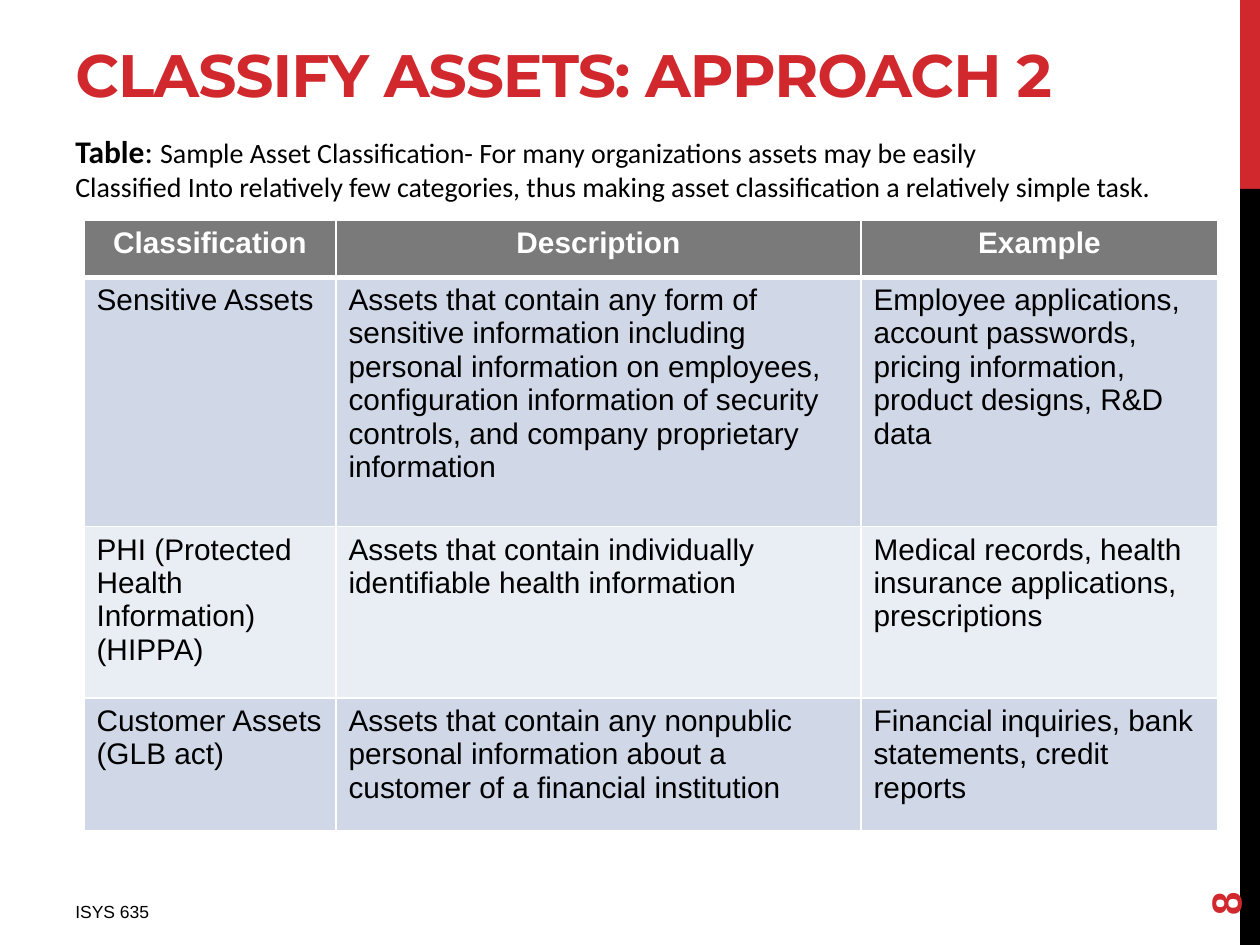
from lxml.etree import SubElement
from pptx import Presentation
from pptx.dml.color import RGBColor
from pptx.enum.shapes import MSO_SHAPE
from pptx.enum.text import MSO_ANCHOR, PP_ALIGN
from pptx.oxml.ns import qn
from pptx.util import Inches, Pt

COLOURS = {"red": "D1282E", "black": "000000", "white": "FFFFFF",
           "header": "7A7A7A", "odd": "D0D8E8", "even": "E9EDF4"}
UNIT = 1 / 12  # grid step in inches: 120 columns by 90 rows

HEADINGS = ["Classification", "Description", "Example"]
ASSETS = [
    ["Sensitive Assets",
     "Assets that contain any form of sensitive information including personal "
     "information on employees, configuration information of security controls, "
     "and company proprietary information",
     "Employee applications, account passwords, pricing information, "
     "product designs, R&D data"],
    ["PHI (Protected Health Information)\n(HIPPA)",
     "Assets that contain individually identifiable health information",
     "Medical records, health insurance applications, prescriptions"],
    ["Customer Assets (GLB act)",
     "Assets that contain any nonpublic personal information about a customer "
     "of a financial institution",
     "Financial inquiries, bank statements, credit reports"],
]


def colour(name):
    return RGBColor.from_string(COLOURS[name])


def grid(*steps):
    return [Inches(step * UNIT) for step in steps]


class SlideStyle:
    def __init__(self, page):
        self.page = page

    def format(self, span, size, shade="black", bold=False, font="Arial"):
        span.font.name, span.font.size, span.font.bold = font, Pt(size), bold
        span.font.color.rgb = colour(shade)

    def bar(self, place, shade):
        bar = self.page.shapes.add_shape(MSO_SHAPE.RECTANGLE, *grid(*place))
        bar.shadow.inherit = False
        bar.fill.solid()
        bar.fill.fore_color.rgb = colour(shade)
        bar.line.fill.background()

    def text(self, place, paragraphs, anchor=MSO_ANCHOR.TOP, turn=0):
        """Each paragraph is a list of (words, style) pairs."""
        box = self.page.shapes.add_textbox(*grid(*place))
        box.rotation = turn
        frame = box.text_frame
        frame.word_wrap, frame.vertical_anchor = True, anchor
        for index, pieces in enumerate(paragraphs):
            para = frame.add_paragraph() if index else frame.paragraphs[0]
            for words, style in pieces:
                span = para.add_run()
                span.text = words
                self.format(span, **style)
        return box

    def borders(self, cell, top, bottom):
        properties = cell._tc.get_or_add_tcPr()
        widths = {"lnL": 1, "lnR": 1, "lnT": top, "lnB": bottom}
        for position, (side, width) in enumerate(widths.items()):
            line = SubElement(properties, qn(f"a:{side}"), w=str(Pt(width)))
            fill = SubElement(line, qn("a:solidFill"))
            SubElement(fill, qn("a:srgbClr"), val=COLOURS["white"])
            properties.insert(position, line)

    def table(self, left, top, widths, heights, rows):
        place = grid(left, top, sum(widths), sum(heights))
        table = self.page.shapes.add_table(len(rows), len(widths), *place).table
        for column, width in zip(table.columns, grid(*widths)):
            column.width = width
        for row, height in zip(table.rows, grid(*heights)):
            row.height = height
        for r, row in enumerate(rows):
            fill = "header" if r == 0 else "odd" if r % 2 else "even"
            for c, words in enumerate(row):
                cell = table.cell(r, c)
                cell.fill.solid()
                cell.fill.fore_color.rgb = colour(fill)
                self.borders(cell, top=3 if r == 1 else 1, bottom=1 if r else 3)
                cell.text_frame.text = words
                for para in cell.text_frame.paragraphs:
                    para.alignment = PP_ALIGN.LEFT if r else PP_ALIGN.CENTER
                    self.format(para.runs[0], 17, "black" if r else "white", r == 0)


def main():
    deck = Presentation()
    deck.slide_width, deck.slide_height = grid(120, 90)
    style = SlideStyle(deck.slides.add_slide(deck.slide_layouts[6]))

    # Side bars
    style.bar((118.1, 0, 1.9, 18), "red")
    style.bar((118.1, 18, 1.9, 72), "black")

    # Footer and page number
    style.text((6, 85.2, 45, 3.7), [[("ISYS 635", {"size": 10})]])
    style.text((108, 77.3, 17.3, 4.8),
               [[("8", {"size": 24, "shade": "red", "bold": True})]],
               MSO_ANCHOR.MIDDLE, turn=270)

    # Title with slightly tightened letters
    title = style.text((6, 3, 108, 8),
                       [[("CLASSIFY ASSETS: APPROACH 2",
                          {"size": 34.2, "shade": "red", "bold": True,
                           "font": "Montserrat"})]], MSO_ANCHOR.MIDDLE)
    title.text_frame.paragraphs[0].runs[0].font._element.set("spc", "-60")

    # Classification table
    style.table(8, 21, [24, 50, 34], [5.4, 23.76, 16.32, 12.6],
                [HEADINGS] + ASSETS)

    # Caption above the table
    lead = {"size": 18, "font": "Calibri"}
    body = {"size": 16, "font": "Calibri"}
    style.text((6, 12, 107, 11.3), [
        [("Table", {**lead, "bold": True}), (": ", lead),
         ("Sample Asset Classification- For many organizations assets may be easily",
          body)],
        [("Classified Into relatively few categories, thus making asset "
          "classification a relatively simple task.", body)],
    ])

    deck.save("out.pptx")


if __name__ == "__main__":
    main()
